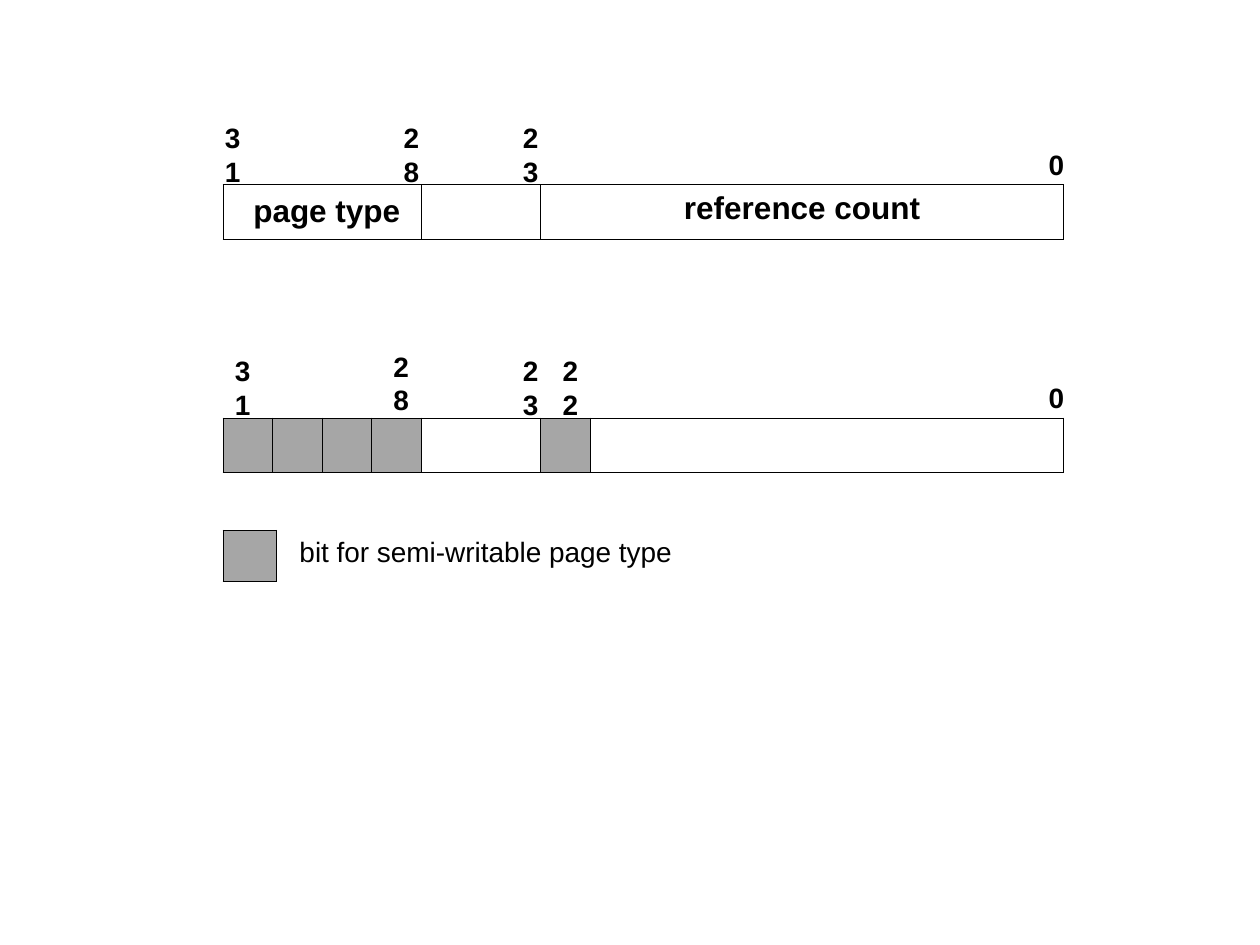
from dataclasses import dataclass

from lxml.etree import SubElement
from pptx import Presentation
from pptx.dml.color import RGBColor
from pptx.enum.text import MSO_ANCHOR, PP_ALIGN
from pptx.oxml.ns import qn
from pptx.slide import Slide
from pptx.table import _Cell
from pptx.text.text import _Paragraph
from pptx.util import Pt

BLACK = RGBColor(0, 0, 0)
GREY = RGBColor(0xA6, 0xA6, 0xA6)
FONT = "Arial"
LEFT = 127.4
BIT = 28.3
TYPE = 4 * BIT
GAP = 68.3
COUNT = 299
ROW = 31
LINE = 0.45


@dataclass
class Field:
    width: float
    text: str = ""
    grey: bool = False
    inset: float = 7.2
    top: float = 3.6


@dataclass
class Label:
    left: float
    top: float
    lines: str
    width: float = 45.4
    bold: bool = True


SOLID = Field(BIT, grey=True)
WORD = [
    Field(TYPE, "page type", inset=12.8, top=5.4),
    Field(GAP),
    Field(COUNT, "reference count"),
]
BITS = [SOLID] * 4 + [Field(GAP), SOLID, Field(COUNT - BIT)]
KEY = [Field(30.4, grey=True)]
LABELS = [
    Label(110.3, 71.3, "31"),
    Label(212.4, 71.3, "28"),
    Label(280.6, 71.3, "23"),
    Label(581, 77.2, "0"),
    Label(115.9, 204.3, "31"),
    Label(206.6, 202, "28"),
    Label(280.6, 204.3, "23"),
    Label(303.2, 204.3, "22"),
    Label(581, 210.3, "0"),
]


def write(para: _Paragraph, text: str, size: float, bold: bool) -> None:
    para.alignment = PP_ALIGN.CENTER
    run = para.add_run()
    run.text = text
    run.font.name = FONT
    run.font.size = Pt(size)
    run.font.bold = bold
    run.font.color.rgb = BLACK


def frame(cell: _Cell) -> None:
    """Give the cell a thin black line on all four sides."""
    props = cell._tc.get_or_add_tcPr()
    for side in "LRTB":
        line = SubElement(props, qn(f"a:ln{side}"), w=str(Pt(LINE)))
        fill = SubElement(line, qn("a:solidFill"))
        SubElement(fill, qn("a:srgbClr"), val=str(BLACK))


def draw_row(slide: Slide, top: float, fields: list[Field], high: float = ROW) -> None:
    width = sum(field.width for field in fields)
    table = slide.shapes.add_table(
        1, len(fields), Pt(LEFT), Pt(top), Pt(width), Pt(high)
    ).table
    table.first_row = table.horz_banding = False
    for col, field in enumerate(fields):
        table.columns[col].width = Pt(field.width)
        cell = table.cell(0, col)
        cell.margin_left = Pt(field.inset)
        cell.margin_top = Pt(field.top)
        frame(cell)
        if field.grey:
            cell.fill.solid()
            cell.fill.fore_color.rgb = GREY
        else:
            cell.fill.background()
        if field.text:
            write(cell.text_frame.paragraphs[0], field.text, 18, True)


def draw_label(slide: Slide, label: Label, lines: list[str]) -> None:
    box = slide.shapes.add_textbox(
        Pt(label.left), Pt(label.top), Pt(label.width), Pt(33.8)
    )
    body = box.text_frame
    body.word_wrap = True
    body.vertical_anchor = MSO_ANCHOR.MIDDLE
    for spot, text in enumerate(lines):
        para = body.add_paragraph() if spot else body.paragraphs[0]
        write(para, text, 16, label.bold)


def main() -> None:
    deck = Presentation()
    deck.slide_width, deck.slide_height = Pt(720), Pt(540)
    slide = deck.slides.add_slide(deck.slide_layouts[6])
    draw_row(slide, 105.5, WORD)
    draw_row(slide, 238.8, BITS)
    draw_row(slide, 303, KEY, 29.5)
    for label in LABELS:
        draw_label(slide, label, list(label.lines))
    note = Label(144.4, 298.4, "bit for semi-writable page type", 266.4, False)
    draw_label(slide, note, [note.lines])
    deck.save("out.pptx")


if __name__ == "__main__":
    main()
